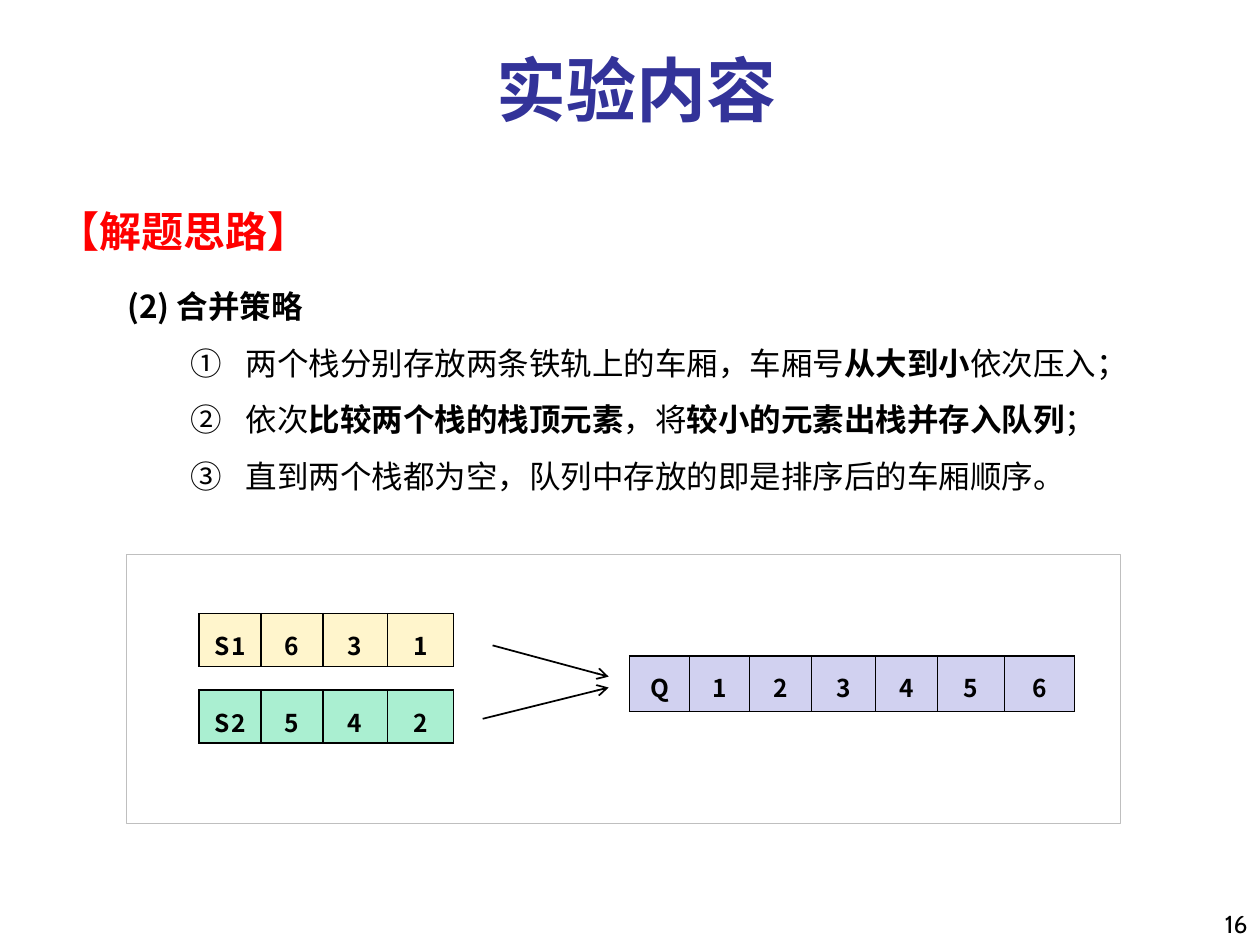
from dataclasses import dataclass

from lxml import etree
from pptx import Presentation
from pptx import util as u
from pptx.dml.color import RGBColor
from pptx.enum import shapes, text
from pptx.oxml import ns

COLORS = {"title": "333399", "accent": "FF0000", "ink": "000000", "frame": "BFBFBF",
          "stack1": "FFF5CC", "stack2": "AAEFD1", "queue": "D1D1F0"}
CJK = "Noto Sans CJK SC"
LATIN = "Cabin"
BODY_SPACING = 1.5


@dataclass
class Strip:
    left: float
    top: float
    height: float
    widths: list[float]
    values: list[str]
    color: str


@dataclass
class Arrow:
    start: tuple[float, float]
    end: tuple[float, float]


STACK_WIDTHS = [1.25, 1.25, 1.3, 1.33]
STRIPS = [
    Strip(4.01, 12.37, 1.07, STACK_WIDTHS, ["S1", "6", "3", "1"], "stack1"),
    Strip(4.01, 13.91, 1.07, STACK_WIDTHS, ["S2", "5", "4", "2"], "stack2"),
    Strip(12.69, 13.22, 1.12, [1.21, 1.21, 1.25, 1.29, 1.25, 1.35, 1.41],
          ["Q", "1", "2", "3", "4", "5", "6"], "queue"),
]
ARROWS = [Arrow((9.93, 13.01), (12.27, 13.64)), Arrow((9.73, 14.49), (12.27, 13.86))]

# Each step is a list of (words, bold)
STEPS = [
    [("两个栈分别存放两条铁轨上的车厢，车厢号", False), ("从大到小", True),
     ("依次压入；", False)],
    [("依次", False), ("比较两个栈的栈顶元素", True), ("，将", False),
     ("较小的元素出栈并存入队列", True), ("；", False)],
    [("直到两个栈都为空，队列中存放的即是排序后的车厢顺序。", False)],
]


def rgb(name: str) -> RGBColor:
    return RGBColor.from_string(COLORS[name])


def child(parent, tag: str, **attributes: str):
    return etree.SubElement(parent, ns.qn(tag), **attributes)


def add_span(para, words: str, size: float, bold: bool = False,
             color: str = "ink", font: str = CJK):
    span = para.add_run()
    span.text = words
    span.font.size = u.Pt(size)
    span.font.bold = bold
    span.font.name = font
    span.font.color.rgb = rgb(color)
    child(span.font._element, "a:ea", typeface=font)
    return span


def add_box(page, left: float, top: float, width: float, height: float):
    box = page.shapes.add_textbox(u.Cm(left), u.Cm(top), u.Cm(width), u.Cm(height))
    box.text_frame.word_wrap = True
    return box


def add_step(frame, parts: list[tuple[str, bool]]) -> None:
    para = frame.add_paragraph()
    para.level = 1
    para.line_spacing = BODY_SPACING
    for words, bold in parts:
        add_span(para, words, 18, bold)
    properties = para._p.get_or_add_pPr()
    properties.set("marL", str(u.Cm(2.39)))
    properties.set("indent", str(u.Cm(-1.12)))
    child(properties, "a:buFont", typeface=CJK)
    child(properties, "a:buAutoNum", type="circleNumDbPlain")


def add_border(cell) -> None:
    properties = cell._tc.get_or_add_tcPr()
    for index, side in enumerate(("a:lnL", "a:lnR", "a:lnT", "a:lnB")):
        line = etree.Element(ns.qn(side), w=str(u.Pt(1)))
        child(child(line, "a:solidFill"), "a:srgbClr", val=COLORS["ink"])
        properties.insert(index, line)


def add_strip(page, strip: Strip) -> None:
    table = page.shapes.add_table(
        1, len(strip.values), u.Cm(strip.left), u.Cm(strip.top),
        u.Cm(sum(strip.widths)), u.Cm(strip.height)).table
    table.first_row = table.horz_banding = False
    for index, (width, value) in enumerate(zip(strip.widths, strip.values)):
        table.columns[index].width = u.Cm(width)
        cell = table.cell(0, index)
        cell.margin_bottom = u.Cm(0.05)
        cell.fill.solid()
        cell.fill.fore_color.rgb = rgb(strip.color)
        add_border(cell)
        para = cell.text_frame.paragraphs[0]
        para.alignment = text.PP_ALIGN.CENTER
        para.line_spacing = 1.2
        span = add_span(para, value, 14, True)
        span.font._element.set("spc", "120")


def add_arrow(page, arrow: Arrow) -> None:
    points = [u.Cm(value) for value in (*arrow.start, *arrow.end)]
    line = page.shapes.add_connector(shapes.MSO_CONNECTOR.STRAIGHT, *points)
    line.line.color.rgb = rgb("ink")
    line.line.width = u.Pt(1)
    child(line.line._get_or_add_ln(), "a:tailEnd", type="arrow")
    child(line._element.spPr, "a:effectLst")


def main() -> None:
    deck = Presentation()
    deck.slide_width, deck.slide_height = u.Cm(25.4), u.Cm(19.05)
    page = deck.slides.add_slide(deck.slide_layouts[5])

    # Title
    title = page.shapes.title
    title.left, title.top = u.Cm(2.11), u.Cm(0.64)
    title.width, title.height = u.Cm(21.44), u.Cm(2.11)
    title.text_frame.vertical_anchor = text.MSO_ANCHOR.BOTTOM
    para = title.text_frame.paragraphs[0]
    para.alignment = text.PP_ALIGN.CENTER
    add_span(para, "实验内容", 40, True, "title")

    # Section heading
    para = add_box(page, 0.91, 3.51, 19.99, 1.83).text_frame.paragraphs[0]
    para.line_spacing = BODY_SPACING
    add_span(para, "【解题思路】", 24, True, "accent")

    # Page number
    frame = add_box(page, 20.12, 17.78, 5.28, 1.27).text_frame
    frame.vertical_anchor = text.MSO_ANCHOR.BOTTOM
    para = frame.paragraphs[0]
    para.alignment = text.PP_ALIGN.RIGHT
    add_span(para, "16", 14, font=LATIN)

    # Merge strategy
    frame = add_box(page, 2.32, 5.28, 20.45, 4.88).text_frame
    para = frame.paragraphs[0]
    para.line_spacing = BODY_SPACING
    add_span(para, "(2) 合并策略", 18, True)
    for parts in STEPS:
        add_step(frame, parts)

    # Stacks merging into the queue
    for strip in STRIPS:
        add_strip(page, strip)
    for arrow in ARROWS:
        add_arrow(page, arrow)

    # Diagram frame
    outline = page.shapes.add_shape(shapes.MSO_SHAPE.RECTANGLE, u.Cm(2.54), u.Cm(11.18),
                                    u.Cm(20.04), u.Cm(5.42))
    outline.shadow.inherit = False
    outline.fill.background()
    outline.line.color.rgb = rgb("frame")
    outline.line.width = u.Pt(0.5)

    deck.save("out.pptx")


if __name__ == "__main__":
    main()
